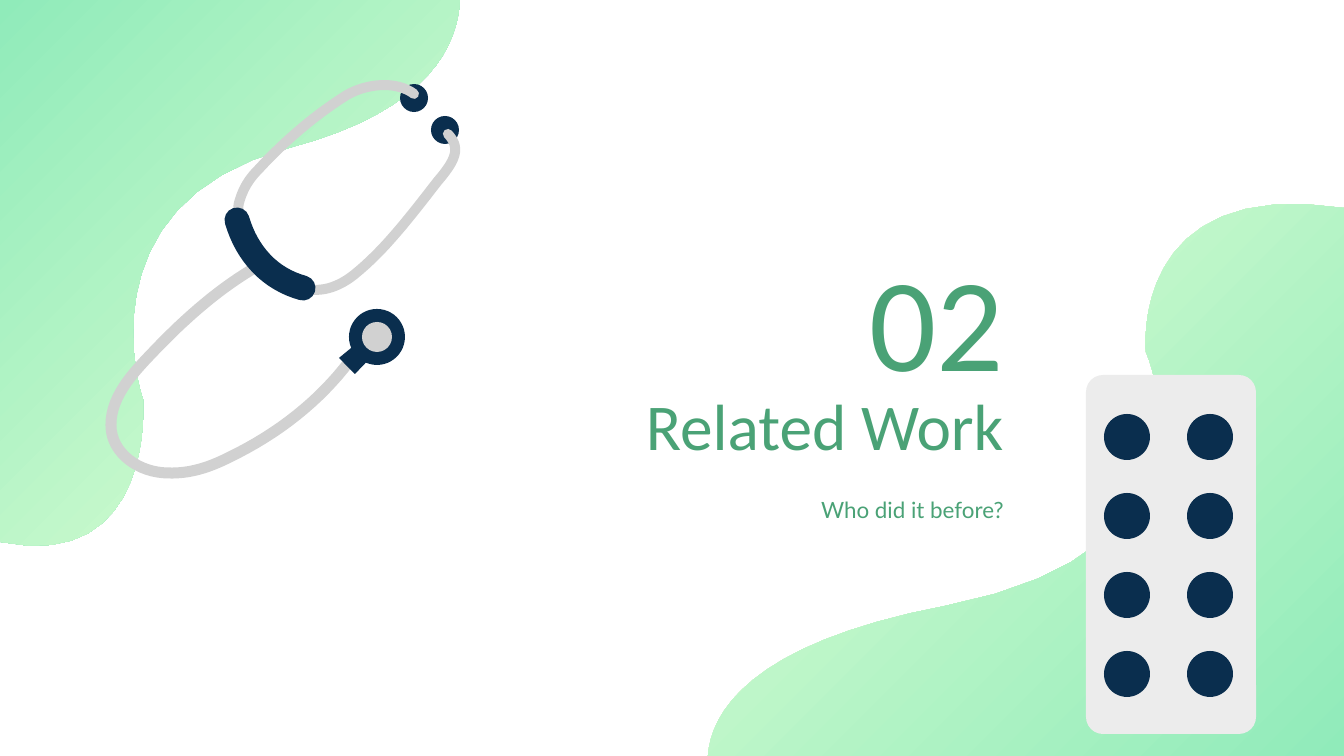
from pptx import Presentation
from pptx import util as u
from pptx.dml.color import RGBColor
from pptx.enum import shapes, text
from pptx.oxml.ns import qn

PX = u.Inches(10) / 1344
STEPS = 16

MINT = RGBColor(0x90, 0xEB, 0xBA)
PALE = RGBColor(0xE3, 0xFF, 0xD5)
GREEN = RGBColor(0x4A, 0xA2, 0x76)
NAVY = RGBColor(0x0A, 0x2E, 0x4E)
GREY = RGBColor(0xD1, 0xD1, 0xD1)
FOIL = RGBColor(0xEC, 0xEC, 0xEC)

LEFT_BLOB = [(460, 0), (458, 42), (433, 110), (289, 148), (78, 204), (142, 399),
             (143, 399), (143, 399), (157, 574), (0, 542)]
RIGHT_BLOB = [(708, 756), (711, 715), (746, 644), (945, 606), (1236, 550), (1146, 352),
              (1146, 352), (1146, 352), (1128, 175), (1344, 208)]
LONG_TUBE = [(258, 266), (220, 288), (188, 316), (157, 348), (137, 369), (111, 394),
             (111, 425), (111, 454), (140, 473), (168, 473), (190, 474), (210, 467),
             (228, 458), (280, 433), (320, 400), (349, 362)]
UPPER_TUBE = [(247, 235), (240, 222), (237, 211), (239, 203), (243, 188), (250, 178),
              (258, 170), (278, 148), (310, 118), (347, 95), (368, 83), (397, 81),
              (414, 94)]
LOWER_TUBE = [(448, 134), (461, 148), (456, 160), (438, 181), (410, 217), (385, 250),
              (354, 275), (335, 290), (315, 294), (296, 286)]
HANDLE = [(237, 220), (247, 254), (270, 279), (303, 288)]
NECK = [(367, 335), (339, 358), (355, 374), (379, 349)]


def px(length):
    return u.Emu(round(length * PX))


def curve(points):
    result = [points[0]]
    for i in range(0, len(points) - 1, 3):
        anchors = points[i:i + 4]
        for step in range(1, STEPS + 1):
            t = step / STEPS
            weights = ((1 - t) ** 3, 3 * t * (1 - t) ** 2, 3 * t ** 2 * (1 - t), t ** 3)
            result.append(tuple(sum(w * p[axis] for w, p in zip(weights, anchors))
                                for axis in (0, 1)))
    return result


def add_outline(parent, points, close=True):
    vertices = [(px(x), px(y)) for x, y in points]
    builder = parent.build_freeform(*vertices[0], scale=1.0)
    builder.add_line_segments(vertices[1:], close=close)
    shape = builder.convert_to_shape()
    shape.shadow.inherit = False
    return shape


def paint(shape, color):
    shape.shadow.inherit = False
    shape.fill.solid()
    shape.fill.fore_color.rgb = color
    shape.line.fill.background()


def add_blob(parent, points, corner, colors):
    shape = add_outline(parent, curve(points) + [corner])
    shape.line.fill.background()
    shape.fill.gradient()
    shape.fill.gradient_angle = 315
    for stop, position, color in zip(shape.fill.gradient_stops, (0, 1), colors):
        stop.position = position
        stop.color.rgb = color


def add_tube(parent, points, width, color):
    shape = add_outline(parent, curve(points), close=False)
    shape.fill.background()
    shape.line.color.rgb = color
    shape.line.width = px(width)
    shape.line._get_or_add_ln().set("cap", "rnd")


def add_disc(parent, x, y, radius, color):
    shape = parent.add_shape(shapes.MSO_SHAPE.OVAL, px(x - radius), px(y - radius),
                             px(2 * radius), px(2 * radius))
    paint(shape, color)


def add_label(slide, top, height, content, font, size, anchor=text.MSO_ANCHOR.TOP):
    frame = slide.shapes.add_textbox(px(430), px(top), px(587), px(height)).text_frame
    frame.word_wrap = True
    frame.vertical_anchor = anchor
    frame.margin_left = frame.margin_right = u.Inches(0.1)
    frame.margin_top = frame.margin_bottom = u.Inches(0.1)
    paragraph = frame.paragraphs[0]
    paragraph.alignment = text.PP_ALIGN.RIGHT
    run = paragraph.add_run()
    run.text = content
    run.font.name = font
    run.font.size = u.Pt(size)
    run.font.color.rgb = GREEN


def add_stethoscope(slide):
    parent = slide.shapes.add_group_shape().shapes
    add_tube(parent, LONG_TUBE, 11, GREY)
    paint(add_outline(parent, NECK), NAVY)
    add_disc(parent, 377, 337, 28, NAVY)
    add_disc(parent, 377, 337, 15, GREY)
    for x, y in ((414, 98), (445, 130)):
        add_disc(parent, x, y, 14, NAVY)
    for points in (UPPER_TUBE, LOWER_TUBE):
        add_tube(parent, points, 10, GREY)
    add_tube(parent, HANDLE, 25, NAVY)


def add_pill_pack(slide):
    parent = slide.shapes.add_group_shape().shapes
    pack = parent.add_shape(shapes.MSO_SHAPE.ROUNDED_RECTANGLE,
                            px(1086), px(375), px(170), px(359))
    pack.adjustments[0] = 0.1
    paint(pack, FOIL)
    for row in range(4):
        for column in range(2):
            add_disc(parent, 1127 + 83 * column, 437 + 79 * row, 23, NAVY)


def main():
    presentation = Presentation()
    presentation.slide_width = px(1344)
    presentation.slide_height = px(756)
    slide = presentation.slides.add_slide(presentation.slide_layouts[6])
    add_blob(slide.shapes, LEFT_BLOB, (0, 0), (MINT, PALE))
    add_blob(slide.shapes, RIGHT_BLOB, (1344, 756), (PALE, MINT))
    add_label(slide, 372, 90, "Related Work", "Calibri", 35)
    add_label(slide, 226, 141, "02", "Calibri", 71)
    add_stethoscope(slide)
    add_label(slide, 488, 43, "Who did it before?", "Lato", 12, text.MSO_ANCHOR.MIDDLE)
    add_pill_pack(slide)
    presentation.save("out.pptx")


if __name__ == "__main__":
    main()
